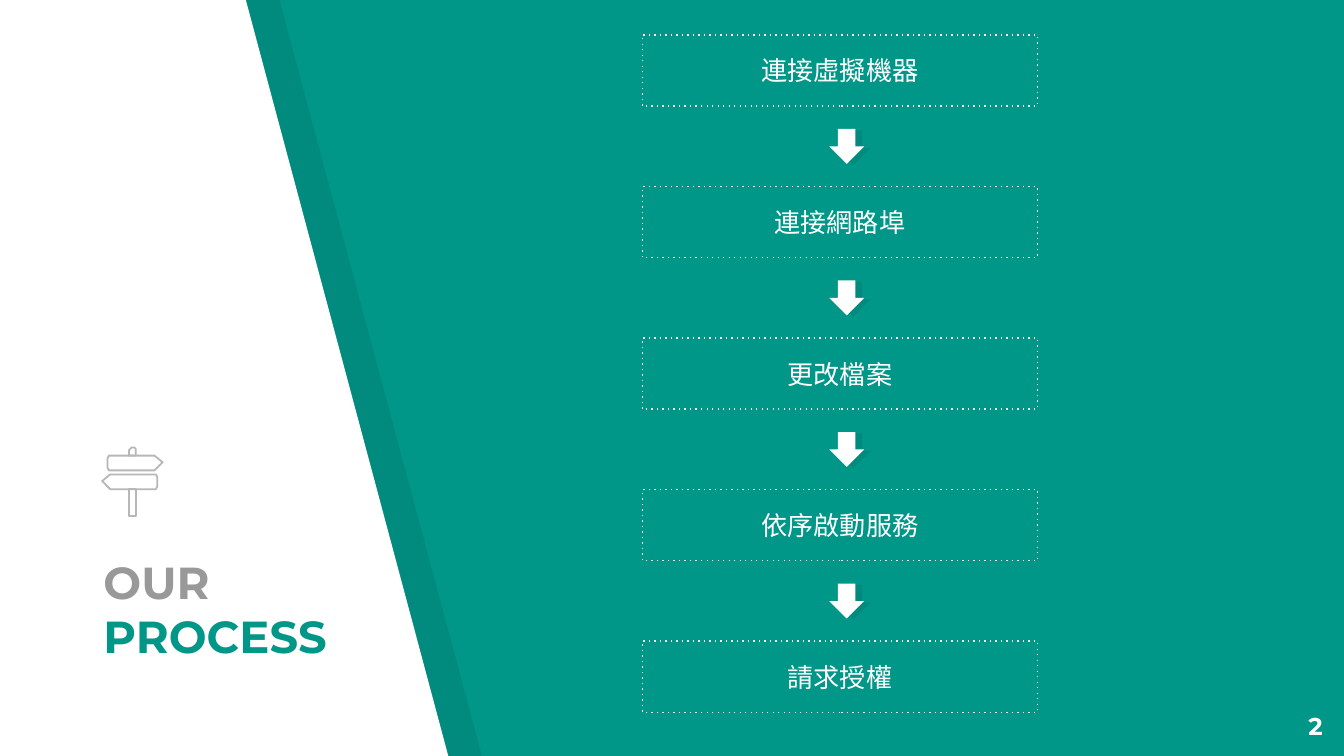
import pptx
import pptx.dml.color
import pptx.enum.shapes
import pptx.enum.text
import pptx.oxml.ns
import pptx.util
from dataclasses import dataclass
from lxml import etree
from typing import Optional

Inches, Pt = pptx.util.Inches, pptx.util.Pt
Shape = pptx.enum.shapes.MSO_SHAPE
Align = pptx.enum.text.PP_ALIGN
Anchor = pptx.enum.text.MSO_ANCHOR

TEAL, WHITE, BLACK, GREY, LIGHT_GREY = "009688", "FFFFFF", "000000", "999999", "B7B7B7"
SHADE = 7  # percent opacity of the black shadows

STEPS = ["連接虛擬機器", "連接網路埠", "更改檔案", "依序啟動服務", "請求授權"]
STEP_LEFT, STEP_TOP, STEP_W, STEP_H = 4.78, 0.26, 2.94, 0.53
STEP_PITCH = (4.77 - STEP_TOP) / (len(STEPS) - 1)
ARROW_LEFT, ARROW_DROP, ARROW_SIZE = 6.17, 0.7, 0.26


@dataclass
class Style:
    fill: Optional[str] = None
    opacity: int = 100
    line: Optional[str] = None
    width: float = 0.75
    dotted: bool = False


def rgb(color: str):
    return pptx.dml.color.RGBColor.from_string(color)


def apply_style(sp, style: Style) -> None:
    sp.shadow.inherit = False
    if style.fill:
        sp.fill.solid()
        sp.fill.fore_color.rgb = rgb(style.fill)
        if style.opacity < 100:
            clr = sp._element.spPr.find(".//" + pptx.oxml.ns.qn("a:srgbClr"))
            etree.SubElement(clr, pptx.oxml.ns.qn("a:alpha"), val=str(style.opacity * 1000))
    else:
        sp.fill.background()
    if style.line:
        sp.line.color.rgb = rgb(style.line)
        sp.line.width = Pt(style.width)
        if style.dotted:
            ln = sp._element.spPr.find(pptx.oxml.ns.qn("a:ln"))
            etree.SubElement(ln, pptx.oxml.ns.qn("a:prstDash"), val="dot")
    else:
        sp.line.fill.background()


def add_polygon(slide, points: list, style: Style) -> None:
    corners = [(Inches(x), Inches(y)) for x, y in points]
    builder = slide.shapes.build_freeform(*corners[0])
    builder.add_line_segments(corners[1:], close=True)
    apply_style(builder.convert_to_shape(), style)


def add_preset(slide, kind, left: float, top: float, width: float, height: float, style: Style):
    sp = slide.shapes.add_shape(kind, Inches(left), Inches(top), Inches(width), Inches(height))
    apply_style(sp, style)
    return sp


def format_frame(tf, anchor, align) -> None:
    settings = {"word_wrap": True, "auto_size": pptx.enum.text.MSO_AUTO_SIZE.NONE,
                "vertical_anchor": anchor}
    settings.update({f"margin_{side}": Inches(0.1) for side in ("left", "right", "top", "bottom")})
    for name, value in settings.items():
        setattr(tf, name, value)
    tf.paragraphs[0].alignment = align


def add_run(tf, text: str, color: str, **font) -> None:
    r = tf.paragraphs[0].add_run()
    r.text = text
    r.font.color.rgb = rgb(color)
    for name, value in font.items():
        setattr(r.font, name, value)


def add_panel(slide) -> None:
    """White slanted panel with its shadow to the right."""
    for left, style in ((0.23, Style(BLACK, SHADE)), (-0.02, Style(WHITE))):
        add_polygon(slide, [(left, -0.01), (left, 5.64), (left + 3.36, 5.64),
                            (left + 1.85, 0)], style)


def add_title(slide) -> None:
    sp = slide.shapes.title
    slide.shapes._spTree.append(sp._element)  # in front of the panel
    sp.left, sp.top, sp.width, sp.height = map(Inches, (0.67, 4.5, 1.88, 0.53))
    format_frame(sp.text_frame, Anchor.BOTTOM, Align.LEFT)
    for text, color in (("OUR ", GREY), ("PROCESS", TEAL)):
        add_run(sp.text_frame, text, color, name="Montserrat", size=Pt(24), bold=True)


def add_signpost(slide) -> None:
    style = Style(line=LIGHT_GREY, width=0.96)
    board = [(1.15, 3.39), (0.82, 3.39), (0.81, 3.39), (0.8, 3.41), (0.8, 3.48),
             (0.81, 3.5), (0.82, 3.5), (1.15, 3.5), (1.21, 3.44)]
    mirrored = [(1.97 - x, y + 0.14) for x, y in board]
    cap = [(0.96, 3.39), (0.96, 3.35), (0.97, 3.34), (0.98, 3.33), (1, 3.33),
           (1.01, 3.34), (1.01, 3.39)]
    post = [(0.96, 3.64), (0.96, 3.84), (1.01, 3.84), (1.01, 3.64)]
    for points in (board, mirrored, cap, post):
        add_polygon(slide, points, style)


def add_step(slide, top: float, text: str) -> None:
    sp = add_preset(slide, Shape.RECTANGLE, STEP_LEFT, top, STEP_W, STEP_H,
                    Style(line=WHITE, dotted=True))
    format_frame(sp.text_frame, Anchor.MIDDLE, Align.CENTER)
    add_run(sp.text_frame, text, WHITE, name="Karla", size=Pt(14))


def add_arrow(slide, top: float) -> None:
    """White down arrow over its offset shadow."""
    for dx, dy, style in ((0.05, 0.01, Style(BLACK, SHADE)), (0, 0, Style(WHITE))):
        sp = add_preset(slide, Shape.RIGHT_ARROW, ARROW_LEFT + dx, top + dy,
                        ARROW_SIZE, ARROW_SIZE, style)
        sp.rotation = 90


def add_page_number(slide, number: str) -> None:
    sp = slide.shapes.add_textbox(*map(Inches, (9.34, 5.19, 0.6, 0.43)))
    format_frame(sp.text_frame, Anchor.TOP, Align.RIGHT)
    add_run(sp.text_frame, number, WHITE, name="Montserrat", size=Pt(13), bold=True)


def main() -> None:
    prs = pptx.Presentation()
    prs.slide_width = Inches(10)
    prs.slide_height = prs.slide_width * 9 // 16
    slide = prs.slides.add_slide(prs.slide_layouts[5])
    slide.background.fill.solid()
    slide.background.fill.fore_color.rgb = rgb(TEAL)

    add_panel(slide)
    add_title(slide)
    add_signpost(slide)
    for i, text in enumerate(STEPS):
        top = STEP_TOP + i * STEP_PITCH
        add_step(slide, top, text)
        if i < len(STEPS) - 1:
            add_arrow(slide, top + ARROW_DROP)
    add_page_number(slide, "2")
    prs.save("out.pptx")


if __name__ == "__main__":
    main()
